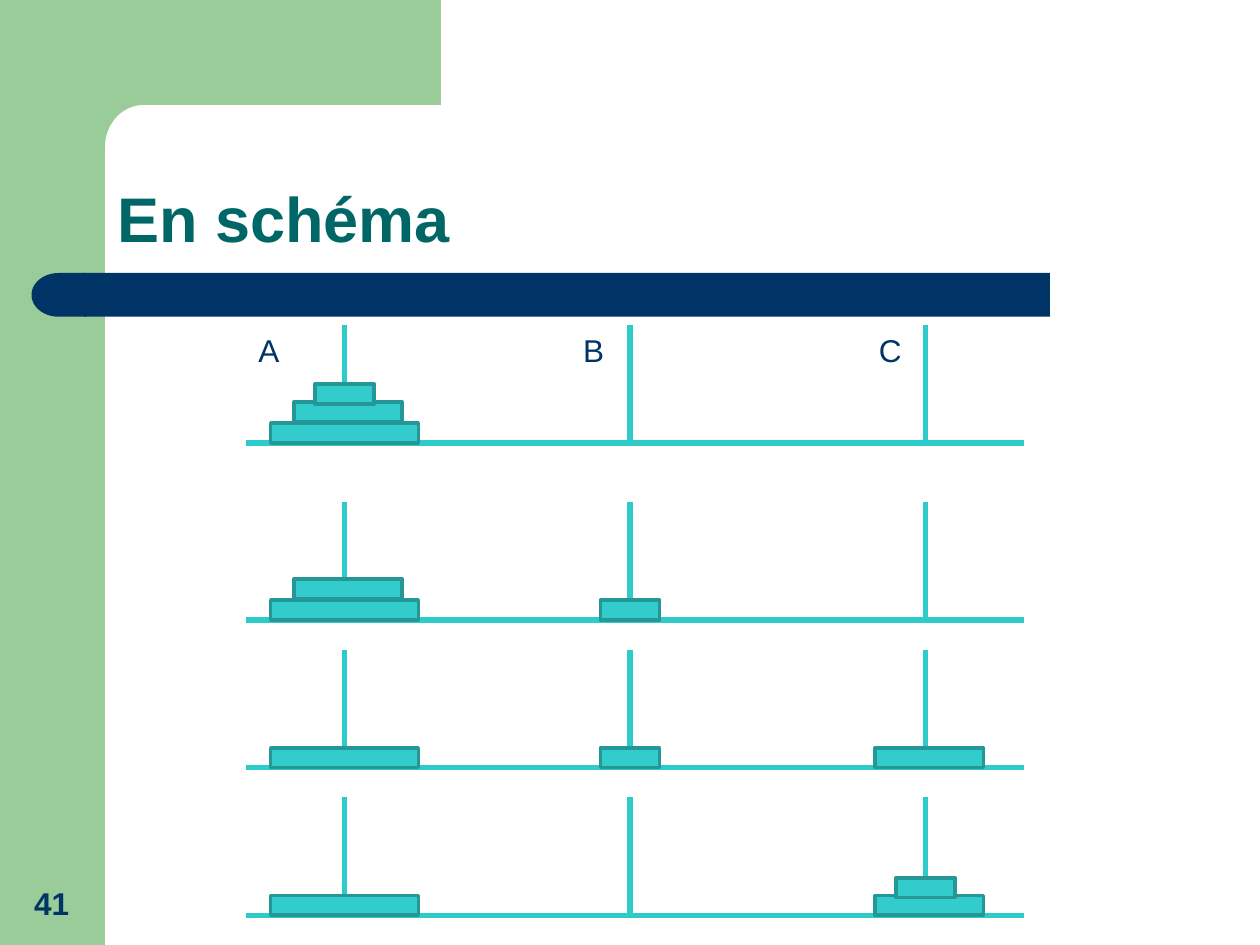
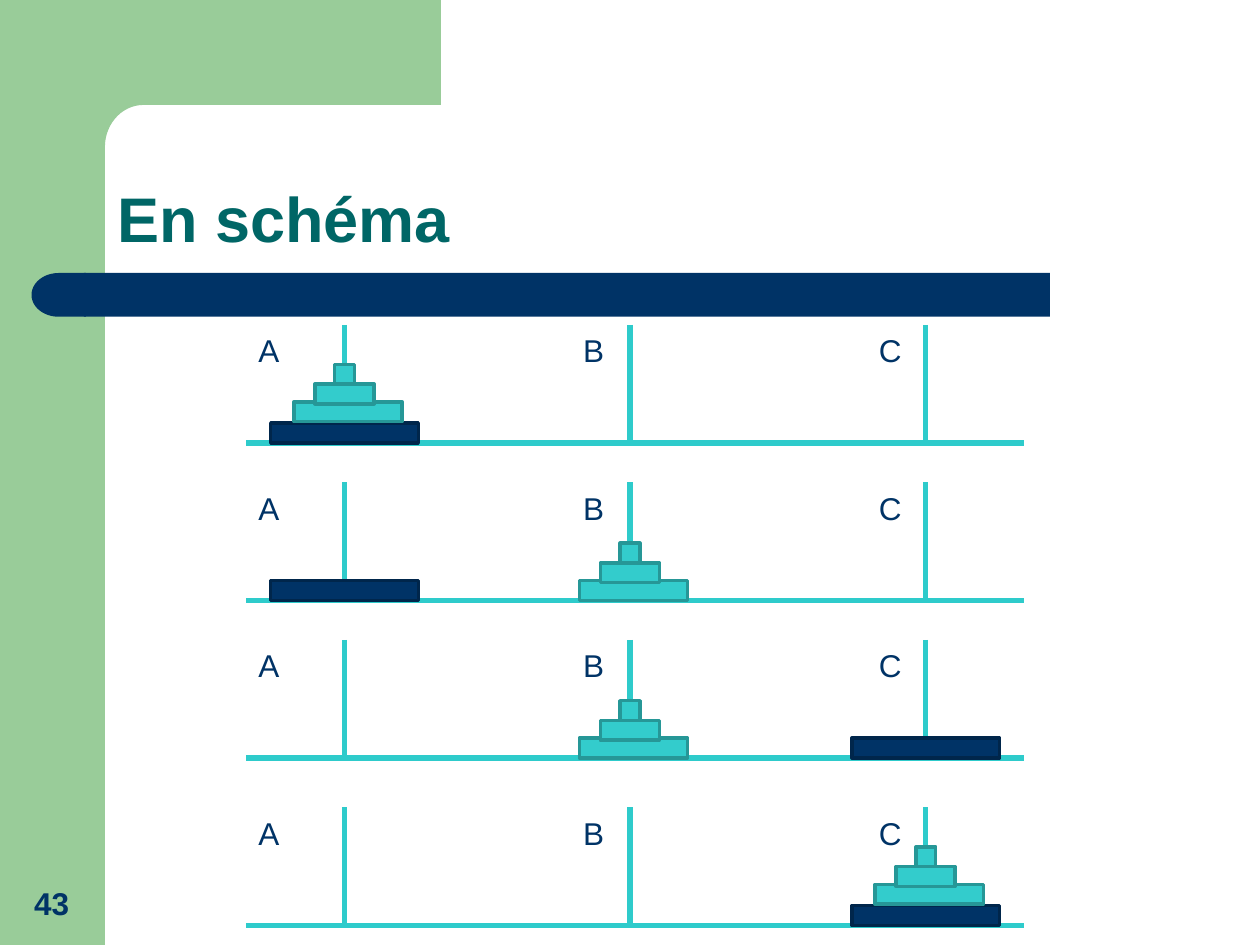
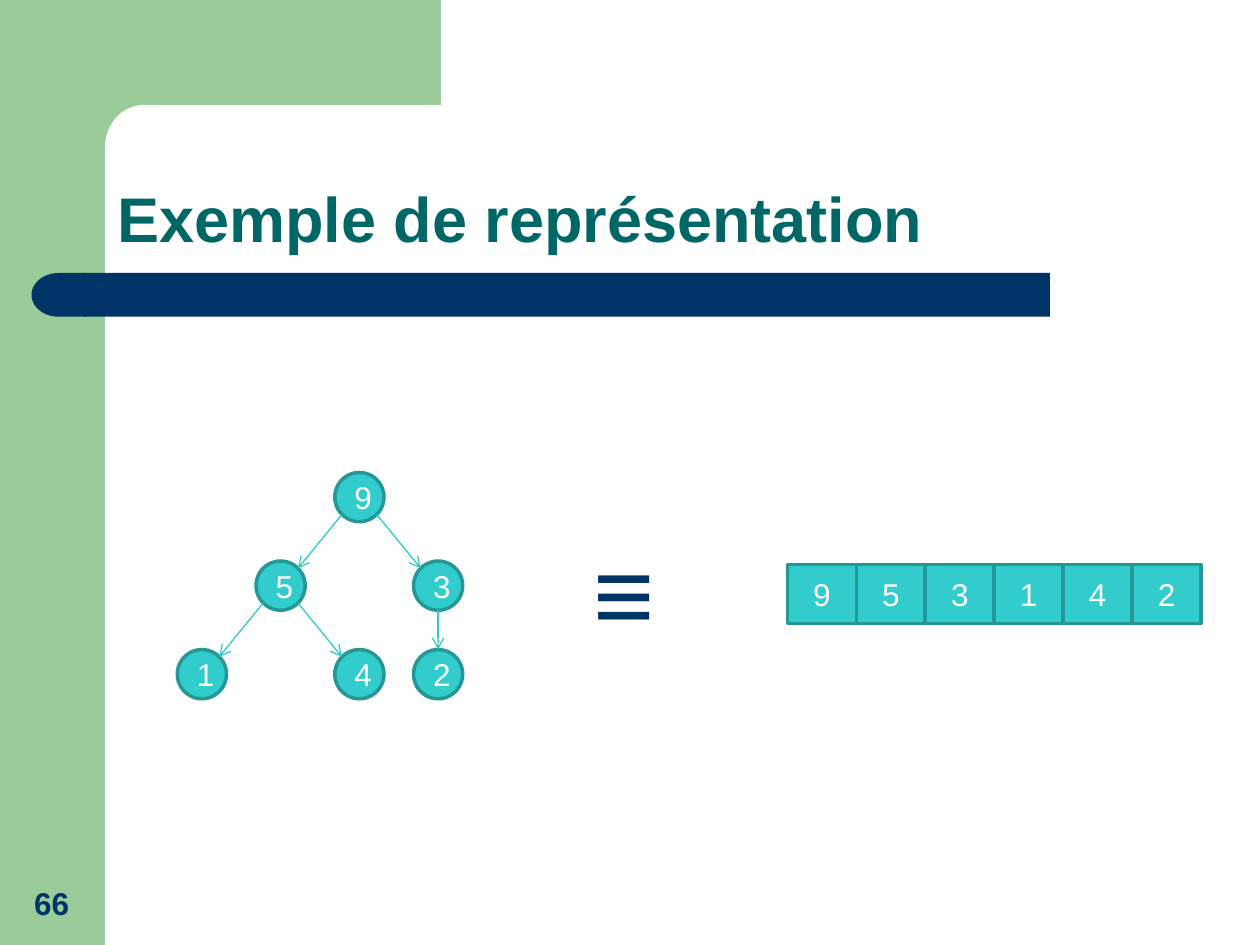
from math import cos, sin, radians, sqrt
from lxml.etree import SubElement
from pptx import Presentation
from pptx.dml.color import RGBColor
from pptx.enum.shapes import MSO_CONNECTOR, MSO_SHAPE
from pptx.enum.text import MSO_ANCHOR, PP_ALIGN
from pptx.oxml.ns import qn
from pptx.util import Pt

COLORS = {
    "green": "99CC99", "navy": "003366", "title": "006666", "line": "2ECBCB",
    "teal": "33CCCC", "edge": "269797", "dark": "00264B", "white": "FFFFFF",
}
FONT = "Arial"

POLES = {"A": 56.3, "B": 219.4, "C": 388.4}
LABELS = {"A": 0, "B": 185.6, "C": 354.6}
BASE = 444.6
HEIGHT = 67.4
THICK = 11.3
DISKS = {
    "big": (84.4, 0, 0),
    "mid": (61.9, 12.2, 2),
    "small": (33.8, 10.1, 0),
    "tiny": (11.3, 11.3, 0),
}
TRIO = ["mid", "small", "tiny"]

NODES = {"9": (2, 0), "5": (1, 1), "3": (3, 1), "1": (0, 2), "4": (2, 2), "2": (3, 2)}
EDGES = ["95", "93", "51", "54", "32"]
NODE = 28.1
CELL = 39.38


def color(name):
    return RGBColor.from_string(COLORS[name])


def paint(shape, fill, edge=None):
    shape.shadow.inherit = False
    shape.fill.solid()
    shape.fill.fore_color.rgb = color(fill)
    if edge:
        shape.line.color.rgb = color(edge)
        shape.line.width = Pt(2)
    else:
        shape.line.fill.background()
    return shape


def block(slide, kind, left, top, width, height, fill, edge=None):
    shape = slide.shapes.add_shape(kind, Pt(left), Pt(top), Pt(width), Pt(height))
    return paint(shape, fill, edge)


def write(shape, text, size, tint, bold=False, align=PP_ALIGN.LEFT, anchor=MSO_ANCHOR.TOP):
    frame = shape.text_frame
    frame.word_wrap = True
    frame.vertical_anchor = anchor
    frame.text = text
    para = frame.paragraphs[0]
    para.alignment = align
    font = para.runs[0].font
    font.name, font.size, font.bold = FONT, Pt(size), bold
    font.color.rgb = color(tint)
    return para


def label(slide, left, top, width, height, text, size, tint, **style):
    box = slide.shapes.add_textbox(Pt(left), Pt(top), Pt(width), Pt(height))
    return write(box, text, size, tint, **style)


def link(slide, start, end, width, arrow=False):
    line = slide.shapes.add_connector(
        MSO_CONNECTOR.STRAIGHT, *(Pt(value) for value in (*start, *end)))
    line.line.color.rgb = color("line")
    line.line.width = Pt(width)
    props = line._element.spPr
    if arrow:
        SubElement(props.find(qn("a:ln")), qn("a:tailEnd"), type="arrow")
    SubElement(props, qn("a:effectLst"))


def corner(slide):
    arc = [(82 + 22 * cos(radians(turn)), 84 + 24 * sin(radians(turn)))
           for turn in range(270, 179, -6)]
    points = [(252, 60), *arc, (60, 92), (36, 92), (36, 0)]
    shape = slide.shapes.build_freeform(Pt(252), 0)
    shape.add_line_segments([(Pt(x), Pt(y)) for x, y in points])
    paint(shape.convert_to_shape(), "green")


def frame(deck, title, number):
    slide = deck.slides.add_slide(deck.slide_layouts[6])
    block(slide, MSO_SHAPE.RECTANGLE, 0, 0, 60, 540, "green")
    corner(slide)
    block(slide, MSO_SHAPE.RECTANGLE, 48, 156, 552, 25, "navy")
    block(slide, MSO_SHAPE.FLOWCHART_DELAY, 18, 156, 31, 25, "navy").rotation = 180
    para = label(slide, 60, 60, 624, 90, title, 36, "title",
                 bold=True, anchor=MSO_ANCHOR.BOTTOM)
    para.line_spacing = 0.9
    label(slide, 6.5, 492, 46, 38, number, 18, "navy",
          bold=True, align=PP_ALIGN.CENTER, anchor=MSO_ANCHOR.BOTTOM)
    return slide


def stage(slide, left, top, towers, named, accent):
    floor = top + HEIGHT
    for shift in POLES.values():
        link(slide, (left + shift, top), (left + shift, floor), 3)
    link(slide, (left, floor), (left + BASE, floor), 3)
    for pole, stack in towers.items():
        disk_top = floor - THICK
        for level, disk in enumerate(stack):
            width, rise, shift = DISKS[disk]
            disk_top -= rise if level else 0
            marked = accent and disk == "big"
            block(slide, MSO_SHAPE.RECTANGLE,
                  left + POLES[pole] + shift - width / 2, disk_top, width, THICK,
                  "navy" if marked else "teal", "dark" if marked else "edge")
    if named:
        for pole, shift in LABELS.items():
            label(slide, left + shift, top, 39.4, 29, pole, 18, "navy")


def hanoi(deck, number, stages, named, accent=False):
    slide = frame(deck, "En schéma", number)
    for index, (top, towers) in enumerate(stages):
        stage(slide, 140.6, top, towers, index < named, accent)


def digit(slide, kind, left, top, width, height, text):
    shape = block(slide, kind, left, top, width, height, "teal", "edge")
    write(shape, text, 18, "white", align=PP_ALIGN.CENTER, anchor=MSO_ANCHOR.MIDDLE)


def tree(slide, left, top):
    spots = {key: (left + col * 45, top + row * 50.6) for key, (col, row) in NODES.items()}
    for key, (x, y) in spots.items():
        digit(slide, MSO_SHAPE.OVAL, x, y, NODE, NODE, key)
    half = NODE / 2
    for parent, child in EDGES:
        (x1, y1), (x2, y2) = spots[parent], spots[child]
        side = (x2 > x1) - (x2 < x1)
        reach = half / sqrt(2) if side else half
        link(slide, (x1 + half + side * reach, y1 + half + reach),
             (x2 + half - side * reach, y2 + half - reach), 0.75, arrow=True)


def array(slide, left, top):
    for index, key in enumerate(NODES):
        digit(slide, MSO_SHAPE.RECTANGLE, left + index * CELL, top, CELL, 33.75, key)


def heap(deck, number):
    slide = frame(deck, "Exemple de représentation", number)
    tree(slide, 101.3, 270)
    label(slide, 331.9, 298, 62, 80, "≡", 60, "navy")
    array(slide, 450, 322.5)


def main():
    deck = Presentation()
    deck.slide_width, deck.slide_height = Pt(720), Pt(540)
    hanoi(deck, "41", [
        (185.7, {"A": ["big", "mid", "small"]}),
        (286.9, {"A": ["big", "mid"], "B": ["small"]}),
        (371.2, {"A": ["big"], "B": ["small"], "C": ["mid"]}),
        (455.6, {"A": ["big"], "C": ["mid", "small"]}),
    ], named=1)
    hanoi(deck, "43", [
        (185.7, {"A": ["big", *TRIO]}),
        (275.7, {"A": ["big"], "B": TRIO}),
        (365.7, {"B": TRIO, "C": ["big"]}),
        (461.4, {"C": ["big", *TRIO]}),
    ], named=4, accent=True)
    heap(deck, "66")
    deck.save("out.pptx")


if __name__ == "__main__":
    main()
